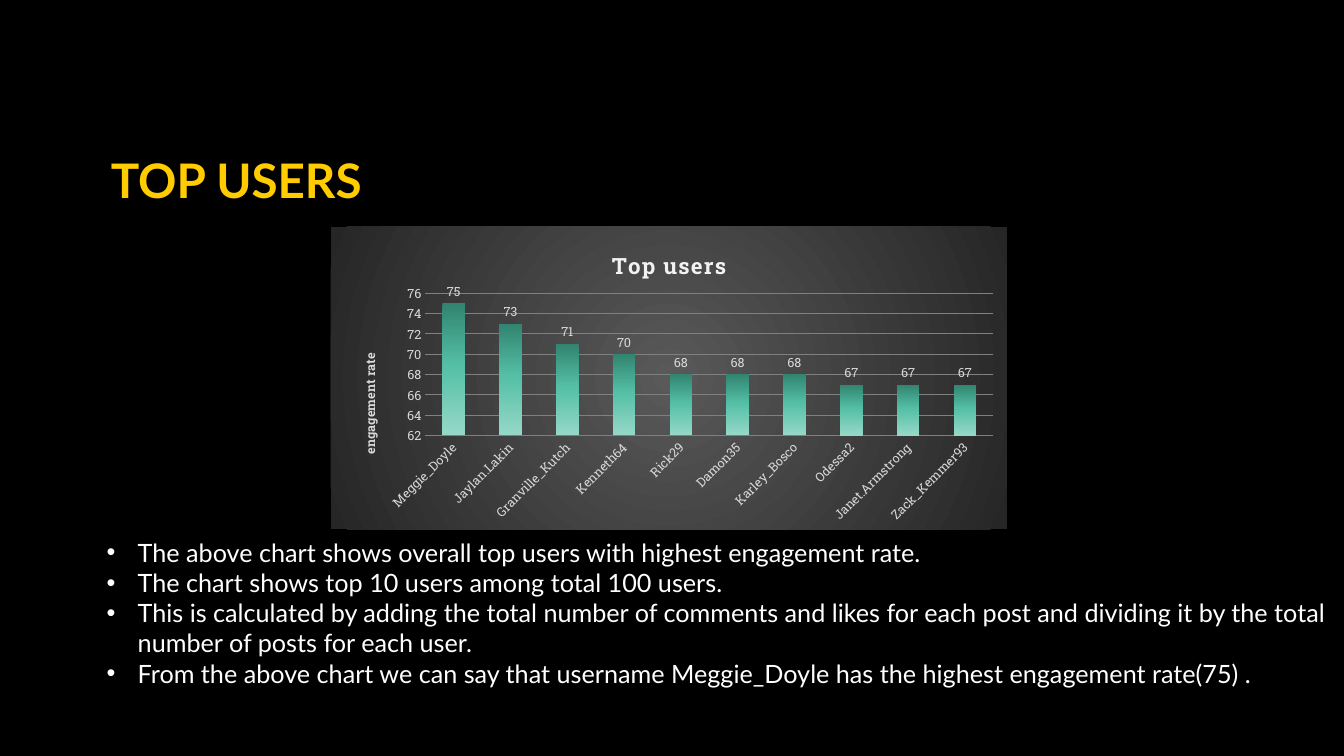
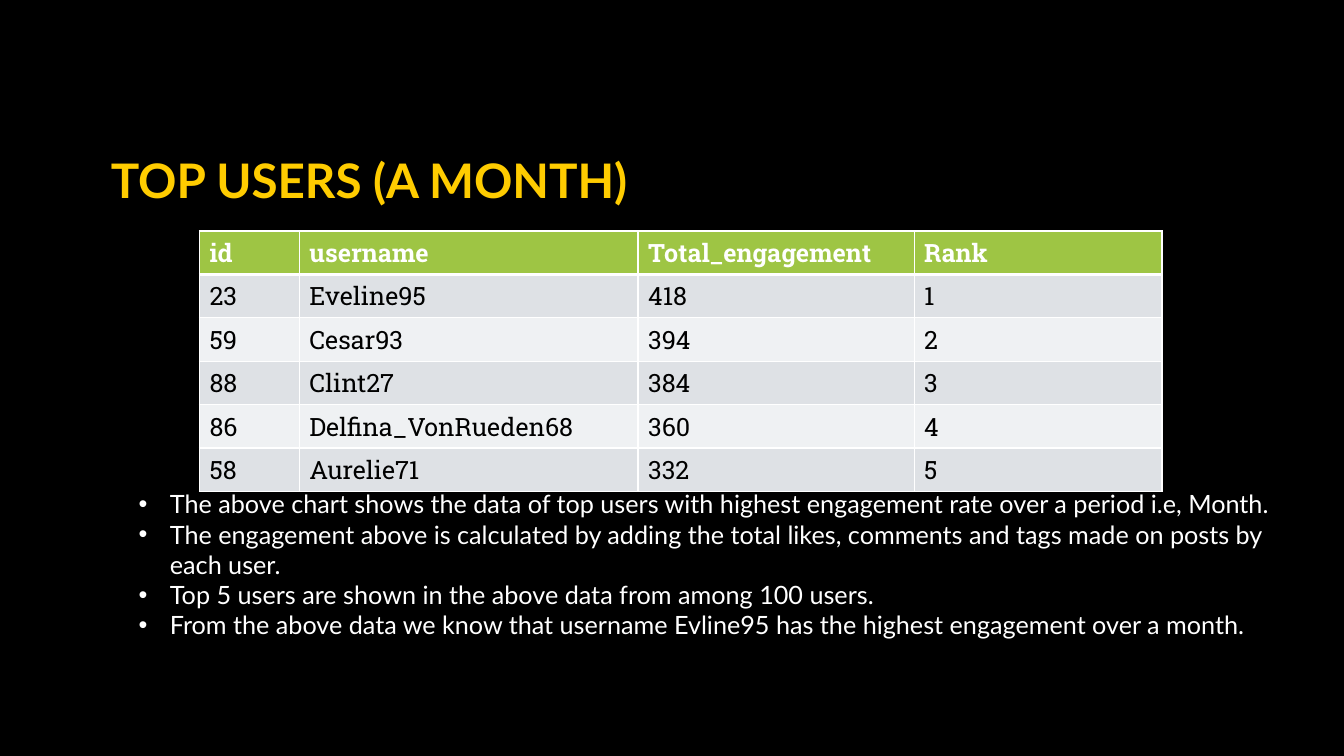
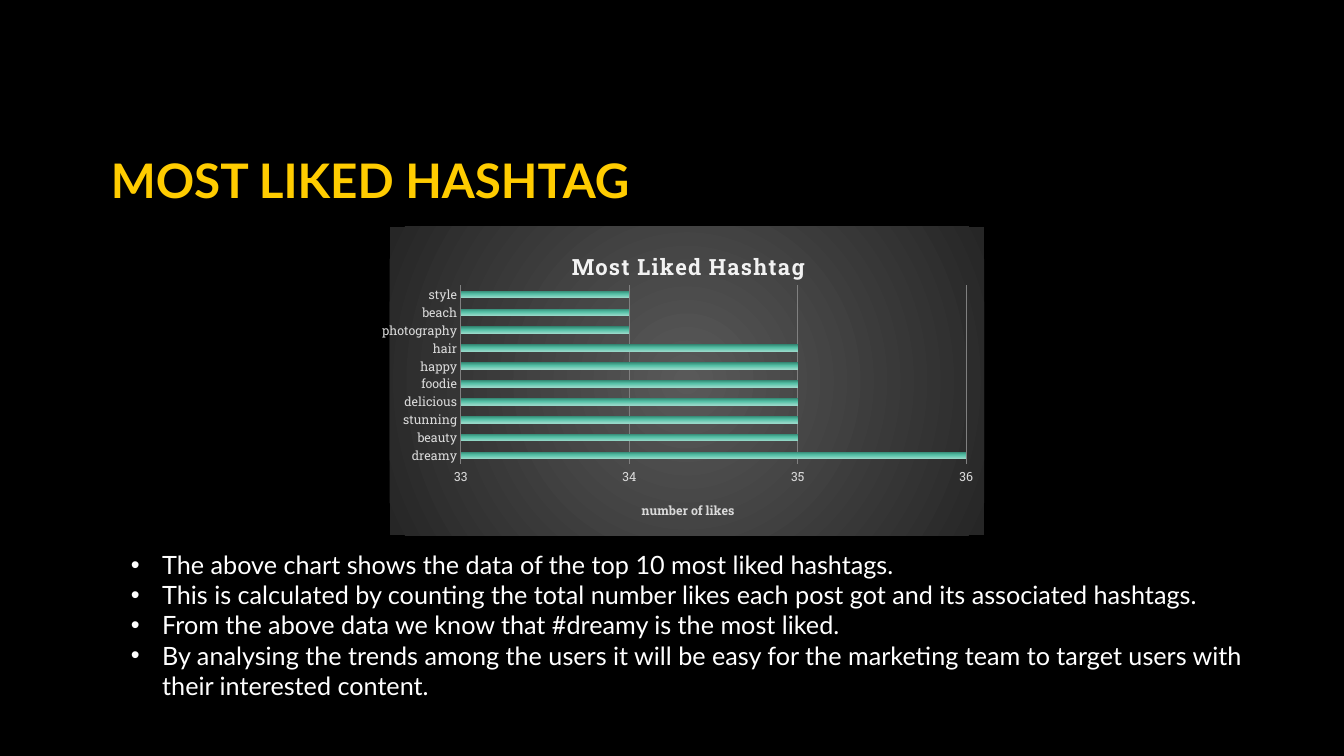
"""Build three dark slides on top users and hashtags."""
from lxml import etree
from pptx import Presentation
from pptx.chart.data import CategoryChartData
from pptx.dml.color import RGBColor
from pptx.enum.chart import XL_CHART_TYPE, XL_LABEL_POSITION, XL_TICK_MARK
from pptx.enum.text import MSO_ANCHOR, MSO_AUTO_SIZE, PP_ALIGN
from pptx.oxml.ns import qn
from pptx.util import Pt

COLUMN = XL_CHART_TYPE.COLUMN_CLUSTERED
BAR = XL_CHART_TYPE.BAR_CLUSTERED
OUTER = XL_LABEL_POSITION.OUTSIDE_END
BARE = XL_TICK_MARK.NONE
BOTTOM = MSO_ANCHOR.BOTTOM
FIXED = MSO_AUTO_SIZE.NONE
GROW = MSO_AUTO_SIZE.SHAPE_TO_FIT_TEXT
LEFT = PP_ALIGN.LEFT

HUES = {
    "back": "000000", "gold": "FFCC00", "white": "FFFFFF", "black": "000000",
    "head": "9EC544", "odd": "DEE1E5", "even": "EFF1F3",
    "label": "D9D9D9", "title": "F2F2F2", "grid": "808080",
    "glow": "595959", "edge": "262626",
    "deep": "318470", "mid": "55C0A6", "pale": "96D8C8",
}
SANS, SLAB = "Lato", "Roboto Slab"
TITLE = (72, 48, 815, 104.5)
INDENT = 22.3
STEEP = -2700000
UPRIGHT = -5400000
PANEL = [(0, "glow"), (100, "edge")]
TEAL = [(0, "deep"), (48, "mid"), (100, "pale")]


def hue(name):
    return RGBColor.from_string(HUES[name])


def pts(box):
    return [Pt(v) for v in box]


def add(node, tag, **attrs):
    return etree.SubElement(node, qn(tag), {k: str(v) for k, v in attrs.items()})


def style(font, size=18, color="white", face=SANS, bold=False):
    font.size, font.name, font.bold = Pt(size), face, bold
    font.color.rgb = hue(color)


def write(par, text, space=None, **look):
    run = par.add_run()
    run.text = text
    style(run.font, **look)
    if space:
        run.font._element.set("spc", str(space))


def bullet(par):
    props = par._p.get_or_add_pPr()
    props.set("marL", str(Pt(INDENT)))
    props.set("indent", str(-Pt(INDENT)))
    add(add(props, "a:buClr"), "a:srgbClr", val=HUES["white"])
    add(props, "a:buFont", typeface="Arial")
    add(props, "a:buChar", char="•")


def blend(node, stops, round=False):
    grad = add(node, "a:gradFill", rotWithShape=1)
    steps = add(grad, "a:gsLst")
    for pos, name in stops:
        add(add(steps, "a:gs", pos=pos * 1000), "a:srgbClr", val=HUES[name])
    if round:
        way = add(grad, "a:path", path="circle")
        add(way, "a:fillToRect", l=50000, t=50000, r=50000, b=50000)
    else:
        add(grad, "a:lin", ang=5400000, scaled=0)
    return grad


def place(node, index, spot, inner=False):
    for old in node.findall(qn("c:layout")):
        node.remove(old)
    layout = etree.Element(qn("c:layout"))
    manual = add(layout, "c:manualLayout")
    if inner:
        add(manual, "c:layoutTarget", val="inner")
    for key in ("xMode", "yMode"):
        add(manual, "c:" + key, val="edge")
    for key, val in zip("xywh", spot):
        add(manual, "c:" + key, val=val)
    node.insert(index, layout)


def start(deck, text):
    slide = deck.slides.add_slide(deck.slide_layouts[5])
    head = slide.shapes.title
    head.left, head.top, head.width, head.height = pts(TITLE)
    frame = head.text_frame
    frame.vertical_anchor, frame.auto_size = BOTTOM, FIXED
    frame.word_wrap = True
    par = frame.paragraphs[0]
    par.alignment, par.line_spacing = LEFT, 0.9
    write(par, text, size=34, color="gold", bold=True)
    return slide


def notes(slide, box, lines):
    frame = slide.shapes.add_textbox(*pts(box)).text_frame
    frame.word_wrap, frame.auto_size = True, GROW
    for i, line in enumerate(lines):
        par = frame.add_paragraph() if i else frame.paragraphs[0]
        bullet(par)
        write(par, line)


def caption(owner, text, spot, turn=0, **look):
    write(owner.text_frame.paragraphs[0], text, face=SLAB, bold=True, **look)
    node = owner._element
    node.find(".//" + qn("a:bodyPr")).set("rot", str(turn))
    place(node, 1, spot)


def axes(chart, low, high, step, turn):
    for axis in (chart.category_axis, chart.value_axis):
        axis.major_tick_mark = axis.minor_tick_mark = BARE
        axis.format.line.fill.background()
        style(axis.tick_labels.font, size=9, color="label", face=SLAB)
    if turn:
        body = chart.category_axis._element.find(qn("c:txPr")).find(qn("a:bodyPr"))
        body.set("rot", str(turn))
    axis = chart.value_axis
    axis.minimum_scale, axis.maximum_scale, axis.major_unit = low, high, step
    axis.tick_labels.number_format = "0"
    axis.tick_labels.number_format_is_linked = False
    axis.has_major_gridlines = True
    line = axis.major_gridlines.format.line
    line.color.rgb, line.width = hue("grid"), Pt(0.75)


def graph(slide, box, kind, data, scale, title, unit, plot, turn=0, rise=0, labels=False):
    feed = CategoryChartData(number_format="0")
    feed.categories = list(data[0])
    feed.add_series("Series 1", data[1])
    chart = slide.shapes.add_chart(kind, *pts(box), feed).chart
    style(chart.font, size=10, face=SLAB)
    chart.has_legend = False
    chart.has_title = True
    caption(chart.chart_title, *title, size=16, color="title", space=100)
    axes(chart, *scale, turn)
    caption(chart.value_axis.axis_title, *unit, turn=rise, size=9, color="label")

    root = chart.element
    body = root.find(qn("c:chart"))
    place(body.find(qn("c:plotArea")), 0, plot, inner=True)
    panel = etree.Element(qn("c:spPr"))
    blend(panel, PANEL, round=True)
    add(add(panel, "a:ln"), "a:noFill")
    body.addnext(panel)

    group = chart.plots[0]
    group.gap_width, group.vary_by_categories = 150, False
    series = group.series[0]
    series.format.fill.solid()
    shape = series._element.find(qn("c:spPr"))
    shape.replace(shape[0], blend(shape, TEAL))
    if labels:
        tags = series.data_labels
        tags.show_value, tags.position = True, OUTER
        tags.number_format, tags.number_format_is_linked = "0", False
        style(tags.font, size=9, color="label", face=SLAB)


def edges(cell, **widths):
    props = cell._tc.get_or_add_tcPr()
    for side in "LRTB":
        line = add(props, "a:ln" + side, w=Pt(widths.get(side, 1)))
        add(add(line, "a:solidFill"), "a:srgbClr", val=HUES["white"])


def grid(slide, box, widths, rows):
    table = slide.shapes.add_table(len(rows), len(widths), *pts(box)).table
    for col, width in zip(table.columns, widths):
        col.width = Pt(width)
    for r, row in enumerate(rows):
        table.rows[r].height = Pt(box[3] / len(rows))
        fill = "head" if r == 0 else "odd" if r % 2 else "even"
        for c, text in enumerate(row):
            cell = table.cell(r, c)
            edges(cell, B=1 if r else 3, T=3 if r == 1 else 1)
            cell.fill.solid()
            cell.fill.fore_color.rgb = hue(fill)
            write(cell.text_frame.paragraphs[0], text, face=SLAB,
                  color="black" if r else "white", bold=r == 0)


def users(deck):
    slide = start(deck, "TOP USERS")
    notes(slide, (69, 380, 891, 160), [
        "The above chart shows overall top users with highest engagement rate.",
        "The chart shows top 10 users among total 100 users.",
        "This is calculated by adding the total number of comments and likes for each "
        "post and dividing it by the total number of posts for each user.",
        "From the above chart we can say that username Meggie_Doyle has the highest "
        "engagement rate(75) .",
    ])
    names = ("Meggie_Doyle", "Jaylan.Lakin", "Granville_Kutch", "Kenneth64", "Rick29",
             "Damon35", "Karley_Bosco", "Odessa2", "Janet.Armstrong", "Zack_Kemmer93")
    graph(slide, (236.2, 162, 483, 216), COLUMN,
          (names, (75, 73, 71, 70, 68, 68, 68, 67, 67, 67)), (62, 76, 2),
          ("Top users", (0.41, 0.06)), ("engagement rate", (0.04, 0.41)),
          (0.14, 0.22, 0.84, 0.47), turn=STEEP, rise=UPRIGHT, labels=True)


def month(deck):
    slide = start(deck, "TOP USERS (A MONTH)")
    grid(slide, (142.5, 165, 687.5, 172.8), (71.3, 242, 197.2, 177), [
        ("id", "username", "Total_engagement", "Rank"),
        ("23", "Eveline95", "418", "1"),
        ("59", "Cesar93", "394", "2"),
        ("88", "Clint27", "384", "3"),
        ("86", "Delfina_VonRueden68", "360", "4"),
        ("58", "Aurelie71", "332", "5"),
    ])
    notes(slide, (92, 345.6, 839.5, 138), [
        "The above chart shows the data of top users with highest engagement rate over "
        "a period i.e, Month.",
        "The engagement above is calculated by adding the total likes, comments and "
        "tags made on posts by each user.",
        "Top 5 users are shown in the above data from among 100 users.",
        "From the above data we know that username Evline95 has the highest engagement "
        "over a month.",
    ])


def likes(deck):
    slide = start(deck, "MOST LIKED HASHTAG")
    notes(slide, (86.5, 388.8, 831, 116.6), [
        "The above chart shows the data of the top 10 most liked hashtags.",
        "This is calculated by counting the total number likes each post got and its "
        "associated hashtags.",
        "From the above data we know that #dreamy is the most liked.",
        "By analysing the trends among the users it will be easy for the marketing team "
        "to target users with their interested content.",
    ])
    tags = ("dreamy", "beauty", "stunning", "delicious", "foodie",
            "happy", "hair", "photography", "beach", "style")
    graph(slide, (273, 162, 430, 220.3), BAR,
          (tags, (36, 35, 35, 35, 35, 35, 35, 34, 34, 34)), (33, 36, 1),
          ("Most Liked Hashtag", (0.3, 0.06)), ("number of likes", (0.42, 0.88)),
          (0.12, 0.19, 0.85, 0.58))


def main():
    deck = Presentation()
    deck.slide_width, deck.slide_height = Pt(960), Pt(540)
    back = deck.slide_master.background.fill
    back.solid()
    back.fore_color.rgb = hue("back")
    for build in (users, month, likes):
        build(deck)
    deck.save("out.pptx")


if __name__ == "__main__":
    main()
